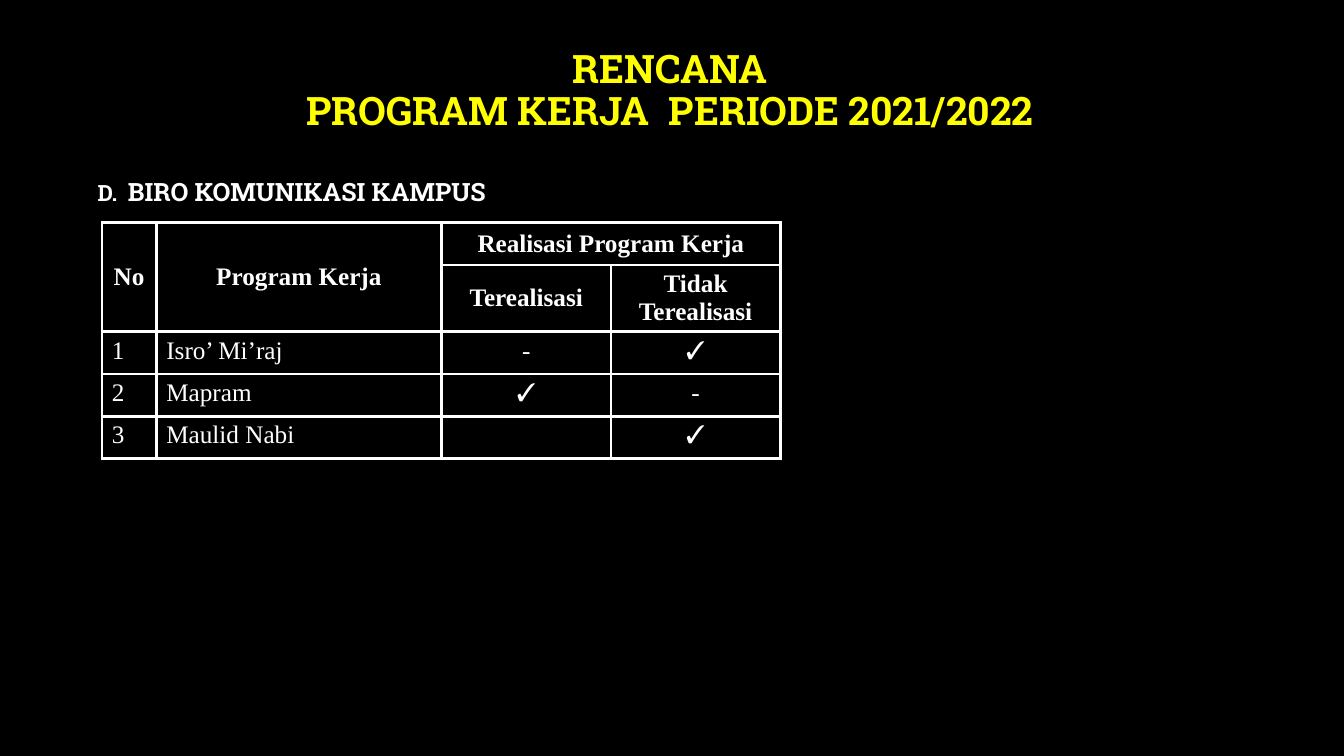
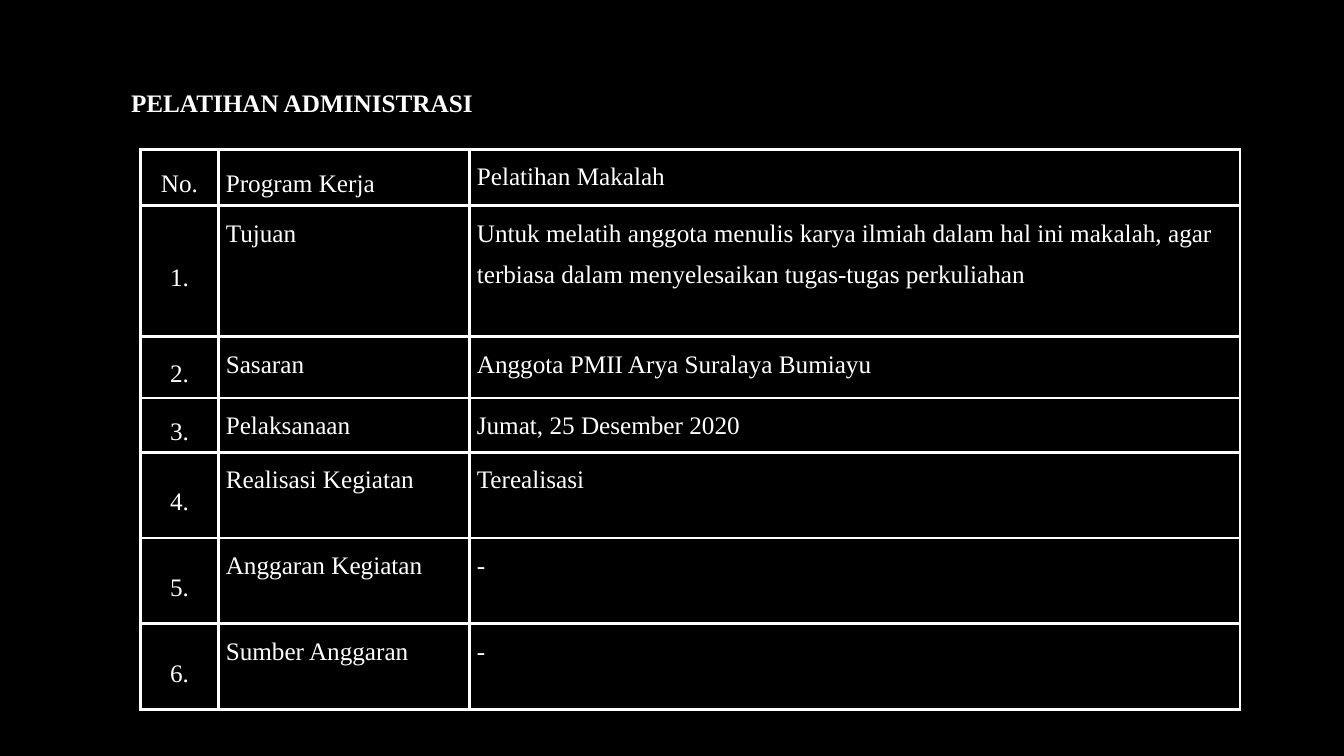
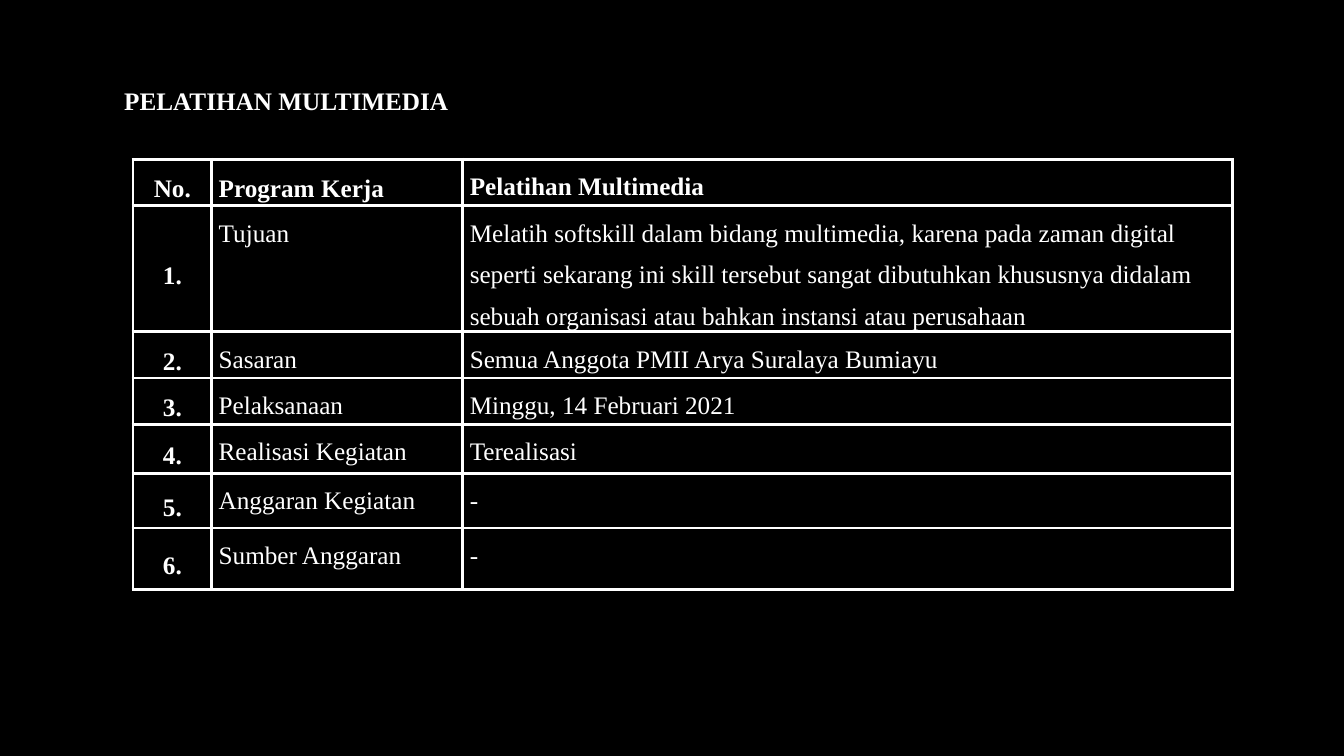
import pptx
import pptx.util
import pptx.dml.color
import pptx.enum.text
import pptx.oxml.ns
import lxml.etree

C = {"back": "000000", "text": "FFFFFF", "title": "FFFF00"}
SLAB, SERIF = "Roboto Slab", "Times New Roman"
ALIGN = pptx.enum.text.PP_ALIGN
MIDDLE = pptx.enum.text.MSO_ANCHOR.MIDDLE
Pt = pptx.util.Pt

prs = pptx.Presentation()
prs.slide_width = pptx.util.Inches(13.333)
prs.slide_height = pptx.util.Inches(7.5)
COL, ROW = prs.slide_width / 100, prs.slide_height / 100  # 100 x 100 grid

# Shared black background
fill = prs.slide_master.background.fill
fill.solid()
fill.fore_color.rgb = pptx.dml.color.RGBColor.from_string(C["back"])


def add_run(p, text, size=18, font=SERIF, color="text", bold=False):
    r = p.add_run()
    r.text = text
    r.font.size, r.font.name, r.font.bold = Pt(size), font, bold
    r.font.color.rgb = pptx.dml.color.RGBColor.from_string(C[color])


def add_grid(s, left, top, widths, heights):
    """Add an unfilled table with white rules; lengths in grid units."""
    frame = s.shapes.add_table(
        len(heights), len(widths), int(left * COL), int(top * ROW),
        int(sum(widths) * COL), int(sum(heights) * ROW))
    tbl = frame.table
    tbl.first_row = tbl.horz_banding = False
    for column, width in zip(tbl.columns, widths):
        column.width = int(width * COL)
    for row, height in zip(tbl.rows, heights):
        row.height = int(height * ROW)
    qn = pptx.oxml.ns.qn
    for cell in tbl.iter_cells():
        tcPr = cell._tc.get_or_add_tcPr()
        for side in ("a:lnL", "a:lnR", "a:lnT", "a:lnB"):
            ln = lxml.etree.SubElement(tcPr, qn(side), w=str(Pt(2.25)))
            solid = lxml.etree.SubElement(ln, qn("a:solidFill"))
            lxml.etree.SubElement(solid, qn("a:srgbClr"), val=C["text"])
        cell.fill.background()
    return tbl


# Slides and titles: lines, box, size, font, colour
titles = [
    (["RENCANA", "PROGRAM KERJA  PERIODE 2021/2022"],
     (17.63, 4.13, 64.43, 16), 28, SLAB, "title"),
    (["PELATIHAN ADMINISTRASI"], (7.8, 7.87, 29.33, 11.87), 18, SERIF, "text"),
    (["PELATIHAN MULTIMEDIA"], (8.4, 8.13, 25.8, 10.8), 18, SERIF, "text"),
]
slides = []
for lines, (left, top, width, height), size, font, color in titles:
    s = prs.slides.add_slide(prs.slide_layouts[5])
    slides.append(s)
    sp = s.shapes.title
    sp.left, sp.top = int(left * COL), int(top * ROW)
    sp.width, sp.height = int(width * COL), int(height * ROW)
    tf = sp.text_frame
    tf.auto_size = pptx.enum.text.MSO_AUTO_SIZE.NONE
    tf.vertical_anchor = MIDDLE
    p = tf.paragraphs[0]
    p.alignment, p.line_spacing = ALIGN.CENTER, 0.9
    for i, line in enumerate(lines):
        if i:
            p.add_line_break()
        add_run(p, line, size, font, color, True)

# Slide 1: realisation table
tbl = add_grid(slides[0], 7.58, 29.47, [4.05, 21.23, 12.6, 12.6],
               [5.6, 8.8, 5.6, 5.6, 5.6])
tbl.cell(0, 0).merge(tbl.cell(1, 0))
tbl.cell(0, 1).merge(tbl.cell(1, 1))
tbl.cell(0, 2).merge(tbl.cell(0, 3))
realisation = [
    ["No", "Program Kerja", "Realisasi Program Kerja", ""],
    ["", "", "Terealisasi", "Tidak Terealisasi"],
    ["1", "Isro’ Mi’raj", "-", "✓"],
    ["2", "Mapram", "✓", "-"],
    ["3", "Maulid Nabi", "", "✓"],
]
for i, row in enumerate(realisation):
    for j, text in enumerate(row):
        if text:
            cell = tbl.cell(i, j)
            p = cell.text_frame.paragraphs[0]
            header = i < 2
            if header:
                cell.vertical_anchor = MIDDLE
            if header or j > 1:
                p.alignment = ALIGN.CENTER
            add_run(p, text, bold=header)

# Slide 1: section heading
sp = slides[0].shapes.add_textbox(int(6.53 * COL), int(20.4 * ROW),
                                  int(33.15 * COL), int(10.4 * ROW))
tf = sp.text_frame
tf.word_wrap = True
tf.vertical_anchor = MIDDLE
p = tf.paragraphs[0]
p.line_spacing = 0.9
pPr = p._p.get_or_add_pPr()
indent = int(2.25 * COL)
pPr.set("marL", str(indent))
pPr.set("indent", str(-indent))
add_run(p, "D.\t", 16, SLAB, bold=True)
add_run(p, "BIRO KOMUNIKASI KAMPUS", 18, SLAB, bold=True)

# Slides 2 and 3: activity tables
labels = ["Program Kerja", "Tujuan", "Sasaran", "Pelaksanaan",
          "Realisasi Kegiatan", "Anggaran Kegiatan", "Sumber Anggaran"]
activities = [
    (slides[1], 10.43, 19.73, False,
     [7.47, 17.33, 8.13, 7.2, 11.33, 11.33, 11.33],
     ["Pelatihan Makalah",
      "Untuk melatih anggota menulis karya ilmiah dalam hal ini makalah, "
      "agar terbiasa dalam menyelesaikan tugas-tugas perkuliahan",
      "Anggota PMII Arya Suralaya Bumiayu", "Jumat, 25 Desember 2020",
      "Terealisasi", "-", "-"]),
    (slides[2], 9.9, 21.07, True,
     [6.13, 16.67, 6.13, 6.13, 6.53, 7.2, 8.13],
     ["Pelatihan Multimedia",
      "Melatih softskill dalam bidang multimedia, karena pada zaman digital "
      "seperti sekarang ini skill tersebut sangat dibutuhkan khususnya "
      "didalam sebuah organisasi atau bahkan instansi atau perusahaan",
      "Semua Anggota PMII Arya Suralaya Bumiayu", "Minggu, 14 Februari 2021",
      "Terealisasi", "-", "-"]),
]
for s, left, top, bold, heights, details in activities:
    tbl = add_grid(s, left, top, [5.85, 18.68, 57.3], heights)
    for i, (label, detail) in enumerate(zip(labels, details)):
        number = f"{i}." if i else "No."
        for j, text in enumerate([number, label, detail]):
            cell = tbl.cell(i, j)
            cell.margin_left = cell.margin_right = pptx.util.Inches(0.07)
            cell.margin_top = cell.margin_bottom = 0
            if j == 0 or (i == 0 and j == 1):
                cell.vertical_anchor = MIDDLE
            p = cell.text_frame.paragraphs[0]
            p.line_spacing, p.space_after = 1.5, Pt(8)
            if j == 0:
                p.alignment = ALIGN.CENTER
            elif label == "Realisasi Kegiatan":
                p.alignment = ALIGN.JUSTIFY
            add_run(p, text, bold=bold and (i == 0 or j == 0))

prs.save("out.pptx")
